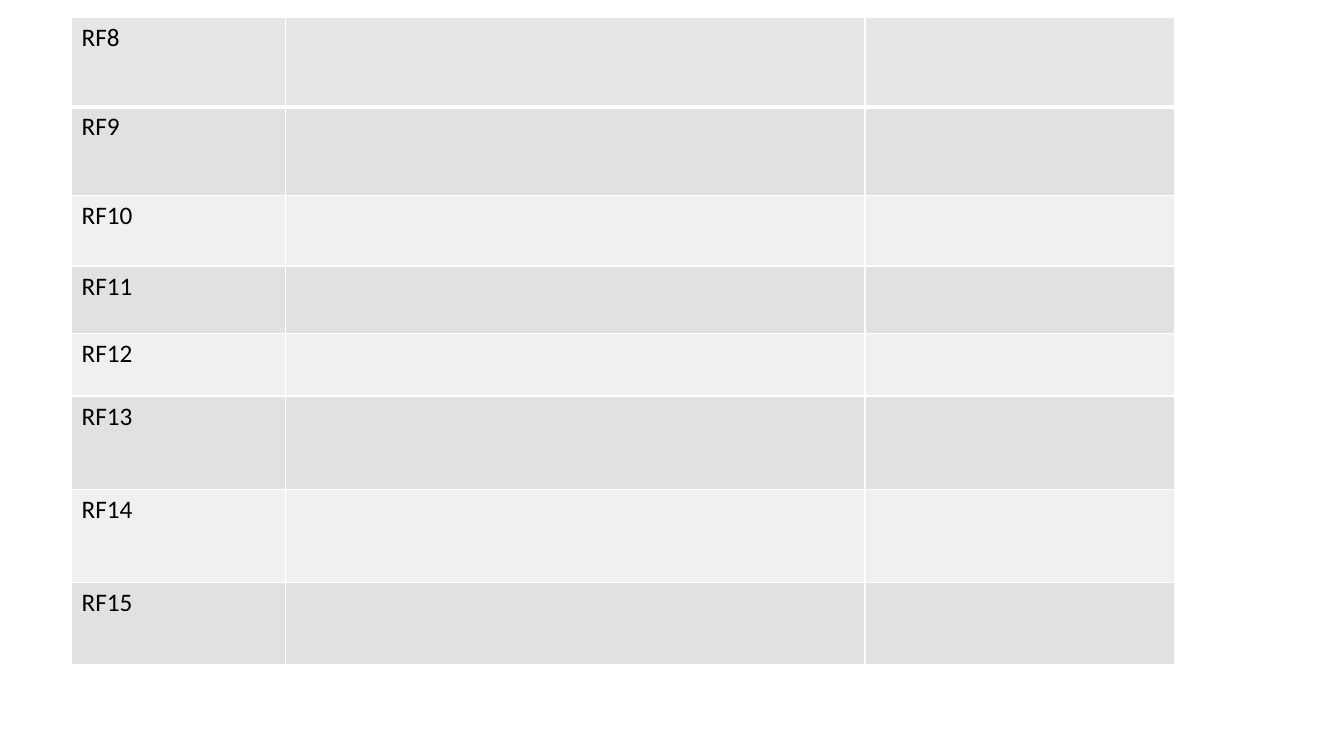
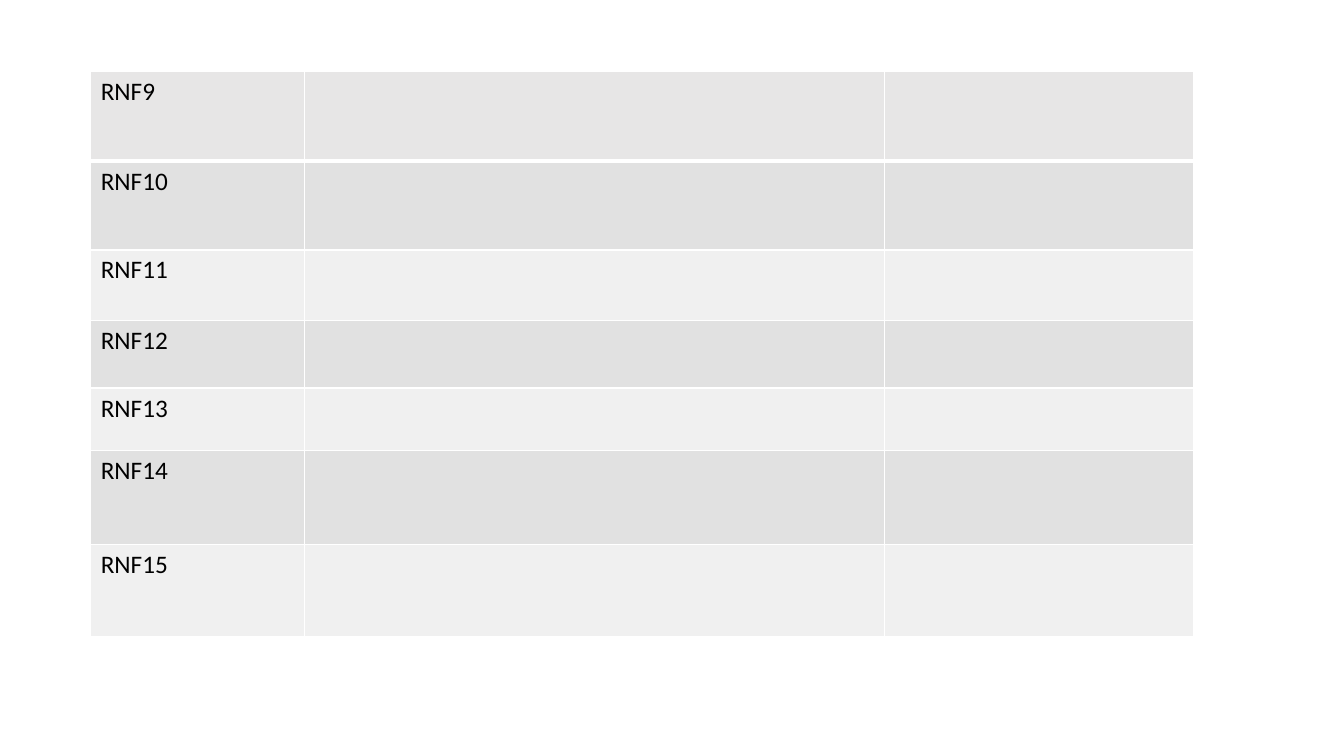
"""Build two slides of requirement tables."""

from dataclasses import dataclass

from lxml.etree import SubElement
from pptx import Presentation
from pptx.dml.color import RGBColor
from pptx.oxml.ns import qn
from pptx.presentation import Presentation as PresentationType
from pptx.table import _Cell
from pptx.util import Inches, Pt

WHITE = RGBColor(0xFF, 0xFF, 0xFF)
BLACK = RGBColor(0x00, 0x00, 0x00)
HEADER_GRAY = RGBColor(0xE7, 0xE6, 0xE6)
DARK_BAND = RGBColor(0xE1, 0xE1, 0xE1)
LIGHT_BAND = RGBColor(0xF0, 0xF0, 0xF0)

FONT_NAME = "Calibri"
FONT_SIZE = Pt(18)
THIN_BORDER = Pt(1)
HEADER_BORDER = Pt(3)
COLUMN_WIDTHS = (2.12, 5.75, 3.07)
ROW_HEIGHTS = (0.89, 0.88, 0.7, 0.67, 0.62, 0.93, 0.92, 0.81)
BLANK_LAYOUT = 6


@dataclass(frozen=True)
class RequirementTable:
    """Place and numbering of one requirement table."""

    prefix: str
    first: int
    last: int
    left: float
    top: float

    @property
    def labels(self) -> list[str]:
        """Return the requirement codes in order."""
        return [f"{self.prefix}{number}" for number in range(self.first, self.last + 1)]


REQUIREMENT_TABLES = (
    RequirementTable("RF", 8, 15, 0.71, 0.17),
    RequirementTable("RNF", 9, 15, 0.9, 0.71),
)


def band_color(row_index: int) -> RGBColor:
    """Return the fill of a row."""
    if row_index == 0:
        return HEADER_GRAY
    return DARK_BAND if row_index % 2 else LIGHT_BAND


def set_borders(cell: _Cell, row_index: int) -> None:
    """Draw white borders, heavier between the first and second rows."""
    widths = {
        "a:lnL": THIN_BORDER,
        "a:lnR": THIN_BORDER,
        "a:lnT": HEADER_BORDER if row_index == 1 else THIN_BORDER,
        "a:lnB": HEADER_BORDER if row_index == 0 else THIN_BORDER,
    }
    properties = cell._tc.get_or_add_tcPr()
    for tag, width in widths.items():
        line = SubElement(properties, qn(tag), w=str(int(width)))
        fill = SubElement(line, qn("a:solidFill"))
        SubElement(fill, qn("a:srgbClr"), val=str(WHITE))


def format_cell(cell: _Cell, row_index: int) -> None:
    """Apply borders, fill and font to a cell."""
    set_borders(cell, row_index)
    cell.fill.solid()
    cell.fill.fore_color.rgb = band_color(row_index)
    font = cell.text_frame.paragraphs[0].font
    font.name = FONT_NAME
    font.size = FONT_SIZE
    font.bold = False
    font.color.rgb = BLACK


def add_requirement_slide(
    presentation: PresentationType, requirements: RequirementTable
) -> None:
    """Add a slide holding one requirement table."""
    slide = presentation.slides.add_slide(presentation.slide_layouts[BLANK_LAYOUT])
    labels = requirements.labels
    heights = ROW_HEIGHTS[: len(labels)]
    table = slide.shapes.add_table(
        len(labels),
        len(COLUMN_WIDTHS),
        Inches(requirements.left),
        Inches(requirements.top),
        Inches(sum(COLUMN_WIDTHS)),
        Inches(sum(heights)),
    ).table
    for column, width in zip(table.columns, COLUMN_WIDTHS):
        column.width = Inches(width)
    for row_index, (row, height, label) in enumerate(zip(table.rows, heights, labels)):
        row.height = Inches(height)
        row.cells[0].text = label
        for cell in row.cells:
            format_cell(cell, row_index)


def main() -> None:
    """Build and save the presentation."""
    presentation = Presentation()
    presentation.slide_width = Inches(13.33)
    presentation.slide_height = Inches(7.5)
    for requirements in REQUIREMENT_TABLES:
        add_requirement_slide(presentation, requirements)
    presentation.save("out.pptx")


if __name__ == "__main__":
    main()
